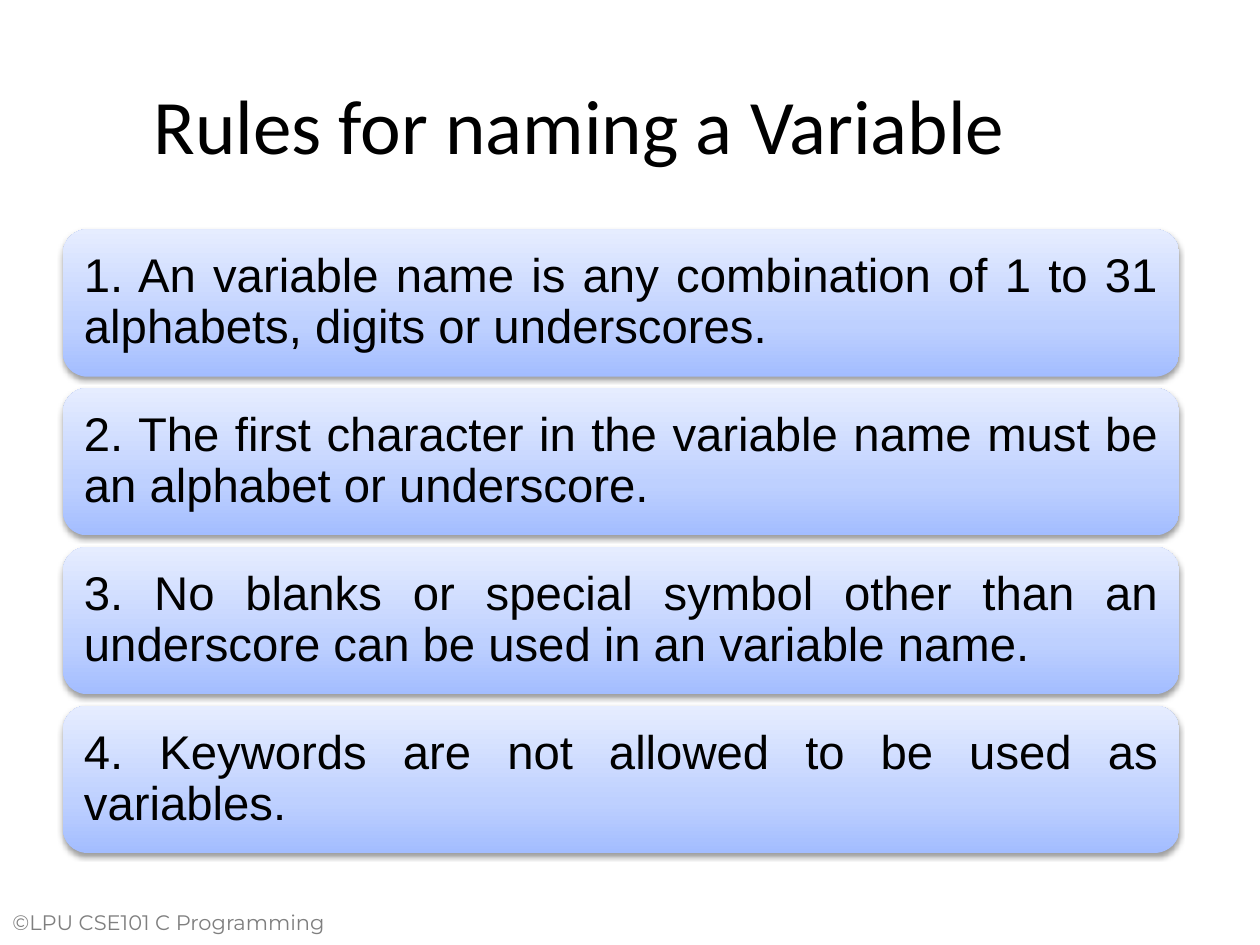
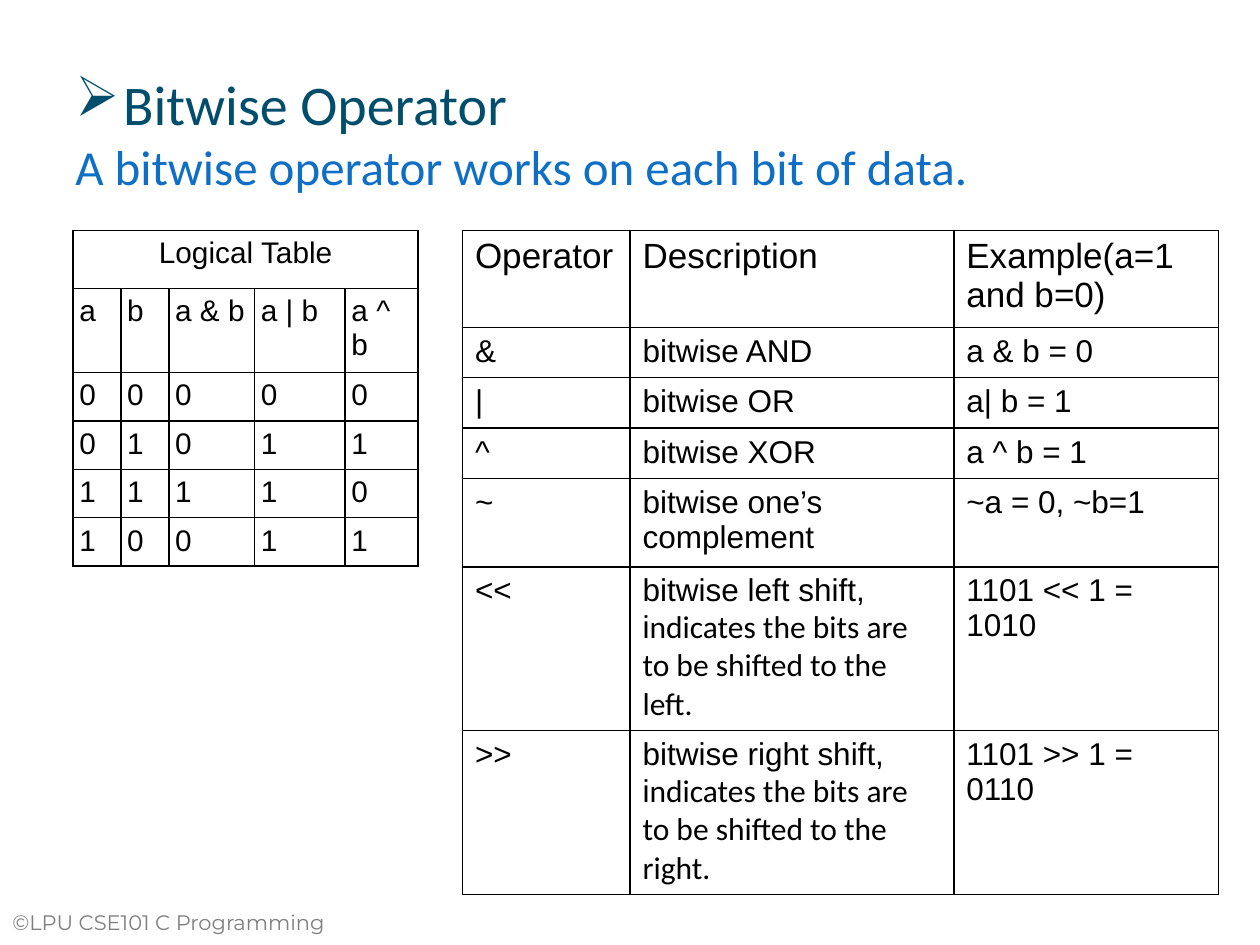
from lxml.etree import SubElement
from pptx import Presentation
from pptx.dml.color import RGBColor
from pptx.enum.shapes import MSO_SHAPE as Shape
from pptx.enum.text import MSO_ANCHOR as Anchor, PP_ALIGN as Align
from pptx.oxml import parse_xml
from pptx.oxml.ns import nsdecls, qn
from pptx.util import Inches, Pt

COLORS = {
    "text": "000000", "footer": "7F7F7F", "heading": "004E6C", "subheading": "0F6FC6",
    "card_bottom": "A3BDFF", "card_middle": "BED0FF", "card_top": "E6EDFF",
}
RULES = [
    "1. An variable name is any combination of 1 to 31 alphabets, digits or underscores.",
    "2. The first character in the variable name must be an alphabet or underscore.",
    "3. No blanks or special symbol other than an underscore can be used in an variable name.",
    "4. Keywords are not allowed to be used as variables.",
]
TRUTH_ROWS = [
    ["Logical Table", "", "", "", ""],
    ["a", "b", "a & b", "a | b", "a ^ b"],
    ["0", "0", "0", "0", "0"],
    ["0", "1", "0", "1", "1"],
    ["1", "1", "1", "1", "0"],
    ["1", "0", "0", "1", "1"],
]
OPERATOR_ROWS = [
    ["Operator", "Description", "Example(a=1 and b=0)"],
    ["&", "bitwise AND", "a & b = 0"],
    ["|", "bitwise OR", "a| b = 1"],
    ["^", "bitwise XOR", "a ^ b = 1"],
    ["~", "bitwise one’s complement", "~a = 0, ~b=1"],
    ["<<", ("bitwise left shift, i", "ndicates the bits are to be shifted to the left."),
     "1101 << 1 = 1010"],
    [">>", ("bitwise right shift, i", "ndicates the bits are to be shifted to the right."),
     "1101 >> 1 = 0110"],
]


def style_font(font, name, size, color="text"):
    """Set the typeface, point size and named colour of a font."""
    font.name = name
    font.size = Pt(size)
    font.color.rgb = RGBColor.from_string(COLORS[color])


def add_text_box(page, left, top, width, height, anchor=Anchor.TOP):
    """Add an empty wrapping text box and return its text frame."""
    frame = page.shapes.add_textbox(
        Inches(left), Inches(top), Inches(width), Inches(height)).text_frame
    frame.word_wrap = True
    frame.vertical_anchor = anchor
    return frame


def write_para(para, text, name, size, color="text", align=Align.LEFT):
    """Fill a paragraph with text in one style."""
    para.text = text
    para.alignment = align
    style_font(para.font, name, size, color)


def add_page(deck):
    """Add a blank page with the shared footer."""
    page = deck.slides.add_slide(deck.slide_layouts[6])
    footer = add_text_box(page, 0, 7.17, 3, 0.42)
    write_para(footer.paragraphs[0], "©LPU CSE101 C Programming", "Montserrat", 12, "footer")
    return page


def shade_card(card):
    """Give a card its upward gradient and soft shadow."""
    stops = [(0, "card_bottom"), (35, "card_middle"), (100, "card_top")]
    stop_xml = "".join(
        f'<a:gs pos="{place * 1000}"><a:srgbClr val="{COLORS[color]}"/></a:gs>'
        for place, color in stops)
    gradient = parse_xml(
        f'<a:gradFill {nsdecls("a")} rotWithShape="1"><a:gsLst>{stop_xml}</a:gsLst>'
        '<a:lin ang="16200000" scaled="0"/></a:gradFill>')
    shadow = parse_xml(
        f'<a:effectLst {nsdecls("a")}><a:outerShdw blurRad="{Pt(3.1)}" dist="{Pt(1.6)}" '
        f'dir="5400000" rotWithShape="0"><a:srgbClr val="{COLORS["text"]}">'
        '<a:alpha val="38000"/></a:srgbClr></a:outerShdw></a:effectLst>')
    card.line.fill.background()
    properties = card._element.spPr
    properties.find(qn("a:prstGeom")).addnext(gradient)
    properties.find(qn("a:ln")).addnext(shadow)


def add_rule_card(page, top, text):
    """Add one rounded card that states a naming rule."""
    card = page.shapes.add_shape(
        Shape.ROUNDED_RECTANGLE, Inches(0.5), Inches(top), Inches(8.86), Inches(1.17))
    shade_card(card)
    frame = card.text_frame
    frame.word_wrap = True
    frame.vertical_anchor = Anchor.MIDDLE
    frame.margin_left = frame.margin_right = Inches(0.11)
    para = frame.paragraphs[0]
    write_para(para, text, "Arial", 27, align=Align.JUSTIFY)
    para.line_spacing = 0.9


def add_bullet(para):
    """Put a Wingdings arrowhead bullet with a hanging indent on a paragraph."""
    properties = para._p.get_or_add_pPr()
    properties.set("marL", str(Inches(0.38)))
    properties.set("indent", str(Inches(-0.38)))
    color = SubElement(properties, qn("a:buClr"))
    SubElement(color, qn("a:srgbClr"), val=COLORS["heading"])
    SubElement(properties, qn("a:buFont"), typeface="Wingdings", pitchFamily="2", charset="2")
    SubElement(properties, qn("a:buChar"), char="Ø")


def outline_cell(cell):
    """Draw thin borders round an unfilled cell."""
    properties = cell._tc.get_or_add_tcPr()
    for side in ("lnL", "lnR", "lnT", "lnB"):
        line = SubElement(properties, qn(f"a:{side}"), w=str(Pt(1)))
        fill = SubElement(line, qn("a:solidFill"))
        SubElement(fill, qn("a:srgbClr"), val=COLORS["text"])
    cell.fill.background()


def fill_cell(cell, content, size, margin):
    """Write a cell; the second part of a pair is set in Calibri."""
    cell.margin_left = cell.margin_right = Inches(margin)
    parts = content if isinstance(content, tuple) else (content,)
    para = cell.text_frame.paragraphs[0]
    for text, name in zip(parts, ("Arial", "Calibri")):
        if text:
            span = para.add_run()
            span.text = text
            style_font(span.font, name, size)
    outline_cell(cell)


def add_grid(page, left, widths, heights, rows, sizes, margin):
    """Add a bordered table; sizes holds the header and body text sizes."""
    grid = page.shapes.add_table(
        len(rows), len(widths), Inches(left), Inches(1.83),
        Inches(sum(widths)), Inches(sum(heights))).table
    grid.first_row = grid.horz_banding = False
    for column, width in zip(grid.columns, widths):
        column.width = Inches(width)
    for index, (row, height) in enumerate(zip(rows, heights)):
        grid.rows[index].height = Inches(height)
        for cell, content in zip(grid.rows[index].cells, row):
            fill_cell(cell, content, sizes[min(index, 1)], margin)
    return grid


def build_rules_page(deck):
    """Build the page of variable naming rules."""
    page = add_page(deck)
    title = add_text_box(page, 0.17, 0.42, 8.86, 1.12, Anchor.MIDDLE)
    write_para(title.paragraphs[0], "Rules for naming a Variable", "Calibri", 44,
               align=Align.CENTER)
    for index, rule in enumerate(RULES):
        add_rule_card(page, 1.82 + 1.26 * index, rule)


def build_bitwise_page(deck):
    """Build the page of bitwise operators."""
    page = add_page(deck)
    body = add_text_box(page, 0.5, 0.5, 9, 1.2)
    heading = body.paragraphs[0]
    add_bullet(heading)
    write_para(heading, "Bitwise Operator", "Calibri", 32, "heading", Align.JUSTIFY)
    write_para(body.add_paragraph(), "A bitwise operator works on each bit of data.",
               "Calibri", 28, "subheading", Align.JUSTIFY)
    add_grid(page, 3.67, [1.33, 2.57, 2.1], [0.4] + [0.37] * 4 + [0.65] * 2,
             OPERATOR_ROWS, (20, 18), 0.1)
    truth = add_grid(page, 0.58, [0.38, 0.38, 0.68, 0.72, 0.58], [0.46] * 2 + [0.37] * 4,
                     TRUTH_ROWS, (17, 17), 0.05)
    truth.cell(0, 0).merge(truth.cell(0, 4))
    truth.cell(0, 0).text_frame.paragraphs[0].alignment = Align.CENTER


def main():
    """Build and save the deck."""
    deck = Presentation()
    deck.slide_width, deck.slide_height = Inches(10), Inches(7.5)
    build_rules_page(deck)
    build_bitwise_page(deck)
    deck.save("out.pptx")


if __name__ == "__main__":
    main()
